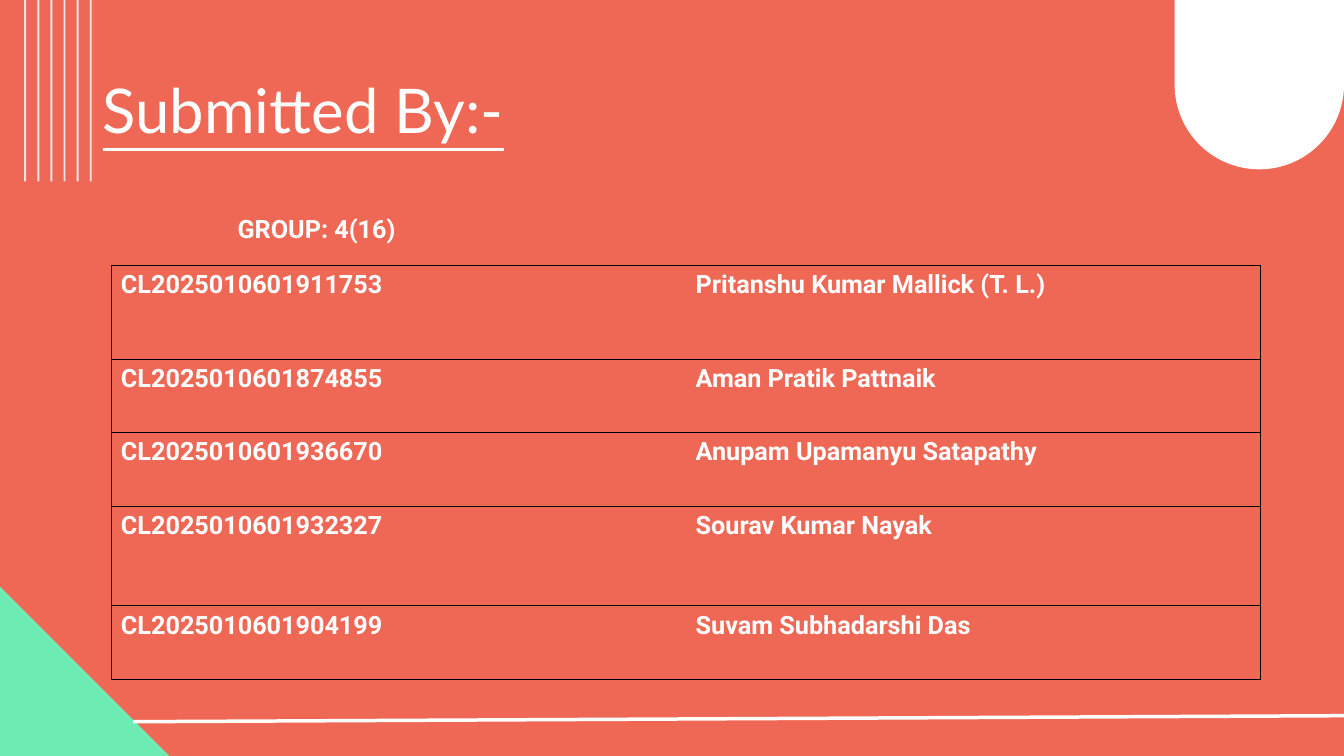
from lxml import etree
from pptx import Presentation
from pptx.dml.color import RGBColor
from pptx.enum.shapes import MSO_CONNECTOR, MSO_SHAPE
from pptx.enum.text import MSO_ANCHOR, PP_ALIGN
from pptx.oxml.ns import qn
from pptx.util import Inches, Pt

CORAL = RGBColor(0xEF, 0x68, 0x56)
WHITE = RGBColor(0xFF, 0xFF, 0xFF)
MINT = RGBColor(0x6D, 0xEB, 0xB2)
PALE_GREY = RGBColor(0xE6, 0xE6, 0xE6)
BLACK = RGBColor(0x00, 0x00, 0x00)

RECTANGLE = MSO_SHAPE.RECTANGLE
RIGHT_TRIANGLE = MSO_SHAPE.RIGHT_TRIANGLE
ROUND_TAB = MSO_SHAPE.ROUND_2_SAME_RECTANGLE
STRAIGHT = MSO_CONNECTOR.STRAIGHT
LEFT, CENTER = PP_ALIGN.LEFT, PP_ALIGN.CENTER
TOP, MIDDLE = MSO_ANCHOR.TOP, MSO_ANCHOR.MIDDLE

MEMBERS = [
    ("CL2025010601911753", "Pritanshu Kumar Mallick (T. L.)"),
    ("CL2025010601874855", "Aman Pratik Pattnaik"),
    ("CL2025010601936670", "Anupam Upamanyu Satapathy"),
    ("CL2025010601932327", "Sourav Kumar Nayak"),
    ("CL2025010601904199", "Suvam Subhadarshi Das"),
]
ROW_HEIGHTS = [0.93, 0.73, 0.73, 0.99, 0.73]
COLUMN_WIDTH = 5.7


def add_run(paragraph, text, font_name, size, bold=False, underline=False):
    run = paragraph.add_run()
    run.text = text
    font = run.font
    font.name, font.size = font_name, Pt(size)
    font.bold, font.underline = bold, underline
    font.color.rgb = WHITE


def add_label(slide, box, text, font_name, size, align=LEFT, anchor=TOP, **style):
    frame = slide.shapes.add_textbox(*map(Inches, box)).text_frame
    frame.word_wrap = True
    frame.vertical_anchor = anchor
    paragraph = frame.paragraphs[0]
    paragraph.alignment = align
    add_run(paragraph, text, font_name, size, **style)
    return paragraph


def add_block(slide, preset, box, color):
    block = slide.shapes.add_shape(preset, *map(Inches, box))
    block.shadow.inherit = False
    block.fill.solid()
    block.fill.fore_color.rgb = color
    block.line.fill.background()
    return block


def add_rule(slide, start, end, color, width):
    rule = slide.shapes.add_connector(STRAIGHT, *map(Inches, start + end))
    rule.line.color.rgb = color
    rule.line.width = Pt(width)
    etree.SubElement(rule._element.spPr, qn("a:effectLst"))


def set_borders(cell, visible_sides):
    properties = cell._tc.get_or_add_tcPr()
    for side in "LRTB":
        border = etree.SubElement(properties, qn(f"a:ln{side}"), w=str(Pt(0.5)))
        if side in visible_sides:
            fill = etree.SubElement(border, qn("a:solidFill"))
            etree.SubElement(fill, qn("a:srgbClr"), val=str(BLACK))
        else:
            etree.SubElement(border, qn("a:noFill"))


def add_member_table(slide, left, top):
    table = slide.shapes.add_table(
        len(MEMBERS), 2, Inches(left), Inches(top),
        Inches(2 * COLUMN_WIDTH), Inches(sum(ROW_HEIGHTS))).table
    table.first_row = table.horz_banding = False
    for column in table.columns:
        column.width = Inches(COLUMN_WIDTH)
    for r, (member, height) in enumerate(zip(MEMBERS, ROW_HEIGHTS)):
        table.rows[r].height = Inches(height)
        for c, (text, outer_side) in enumerate(zip(member, "LR")):
            cell = table.cell(r, c)
            set_borders(cell, outer_side + "TB")
            cell.fill.solid()
            cell.fill.fore_color.rgb = CORAL
            add_run(cell.text_frame.paragraphs[0], text, "Roboto", 18, bold=True)


def main():
    prs = Presentation()
    prs.slide_width, prs.slide_height = Inches(13.33), Inches(7.5)
    slide = prs.slides.add_slide(prs.slide_layouts[6])
    slide.background.fill.solid()
    slide.background.fill.fore_color.rgb = CORAL

    # Title
    title = add_label(slide, (0.92, 0.4, 11.5, 1.45), "Submitted By:-", "Lato", 44,
                      anchor=MIDDLE, underline=True)
    title.line_spacing = 0.9

    # Group members
    add_member_table(slide, 1.1, 2.63)
    add_label(slide, (0.92, 2.07, 4.44, 0.4), "GROUP: 4(16)", "Roboto", 18,
              align=CENTER, bold=True)

    # Corner decorations
    tab = add_block(slide, ROUND_TAB, (11.65, 0, 1.68, 1.68), WHITE)
    tab.adjustments[0], tab.adjustments[1] = 0, 0.5
    add_block(slide, RIGHT_TRIANGLE, (0, 5.82, 1.68, 1.68), MINT)
    for i in range(6):
        add_block(slide, RECTANGLE, (0.24 + 0.13 * i, 0, 0.02, 1.8), PALE_GREY)

    # Bottom rule
    add_rule(slide, (13.33, 7.1), (1.32, 7.16), WHITE, 2.5)

    prs.save("out.pptx")


if __name__ == "__main__":
    main()
